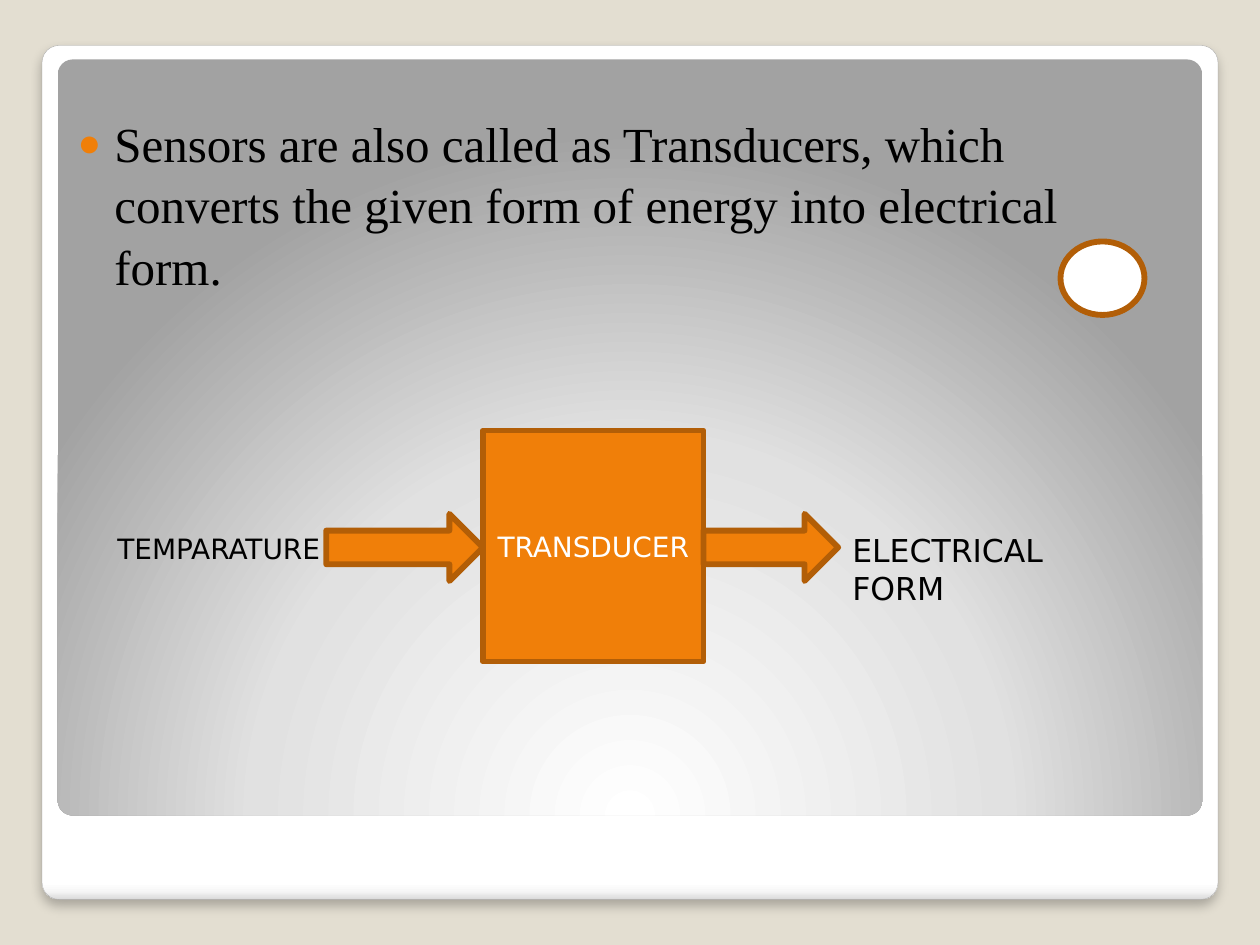
import dataclasses
import typing

import pptx
import pptx.dml.color
import pptx.enum.shapes
import pptx.enum.text
import pptx.oxml
import pptx.oxml.ns
import pptx.util

Pt = pptx.util.Pt
SHAPE = pptx.enum.shapes.MSO_SHAPE
ALIGN = pptx.enum.text.PP_ALIGN
ANCHOR = pptx.enum.text.MSO_ANCHOR
NAMESPACE = pptx.oxml.ns.nsdecls("a")


@dataclasses.dataclass(frozen=True)
class Theme:
    backdrop: str = "E3DED1"
    black: str = "000000"
    white: str = "FFFFFF"
    orange: str = "F07F09"
    outline: str = "B25E07"
    card_edge: str = "A4A4A4"
    body_font: str = "Times New Roman"
    label_font: str = "DejaVu Sans"
    body_size: float = 28
    label_size: float = 16
    output_size: float = 18
    outline_width: float = 3.35


class Frame(typing.NamedTuple):
    left: float
    top: float
    width: float
    height: float


class Block(typing.NamedTuple):
    kind: SHAPE
    frame: Frame
    fill: str
    text: str = ""


class Label(typing.NamedTuple):
    text: str
    frame: Frame
    size: float


THEME = Theme()


def color(value: str) -> pptx.dml.color.RGBColor:
    return pptx.dml.color.RGBColor.from_string(value)


def write(box, text: str, *, size: float, ink: str = THEME.black,
          font: str = THEME.label_font, align=ALIGN.LEFT) -> None:
    para = box.text_frame.paragraphs[0]
    para.alignment = align
    span = para.add_run()
    span.text = text
    span.font.name, span.font.size = font, Pt(size)
    span.font.color.rgb = color(ink)


def add_shape(page, kind: SHAPE, frame: Frame, fill: str = "",
              line: str = "", width: float = THEME.outline_width):
    shape = page.shapes.add_shape(kind, *map(Pt, frame))
    shape.shadow.inherit = False
    if fill:
        shape.fill.solid()
        shape.fill.fore_color.rgb = color(fill)
    else:
        shape.fill.background()
    if line:
        shape.line.color.rgb = color(line)
        shape.line.width = Pt(width)
    else:
        shape.line.fill.background()
    return shape


def add_panel(page, frame: Frame, stops: dict, direction: str, line: str = ""):
    """Rounded panel with a gradient given as percent -> colour."""
    panel = add_shape(page, SHAPE.ROUNDED_RECTANGLE, frame, line=line, width=0.16)
    panel.adjustments[0] = 0.02
    marks = "".join(f'<a:gs pos="{percent * 1000}"><a:srgbClr val="{value}"/></a:gs>'
                    for percent, value in stops.items())
    gradient = pptx.oxml.parse_xml(
        f'<a:gradFill {NAMESPACE} rotWithShape="1"><a:gsLst>{marks}</a:gsLst>'
        f'{direction}</a:gradFill>')
    properties = panel._element.spPr
    properties.replace(properties.find(pptx.oxml.ns.qn("a:noFill")), gradient)
    return panel


def add_shadow(shape) -> None:
    effects = shape._element.spPr.find(pptx.oxml.ns.qn("a:effectLst"))
    effects.append(pptx.oxml.parse_xml(
        f'<a:outerShdw {NAMESPACE} blurRad="{Pt(6)}" dist="{Pt(4)}" dir="5400000" '
        'algn="t" rotWithShape="0"><a:srgbClr val="000000">'
        '<a:alpha val="25000"/></a:srgbClr></a:outerShdw>'))


def add_block(page, block: Block) -> None:
    shape = add_shape(page, block.kind, block.frame, block.fill, THEME.outline)
    if block.text:
        shape.text_frame.vertical_anchor = ANCHOR.MIDDLE
        write(shape, block.text, size=THEME.label_size, ink=THEME.white,
              align=ALIGN.CENTER)


def add_label(page, label: Label) -> None:
    box = page.shapes.add_textbox(*map(Pt, label.frame))
    box.text_frame.word_wrap = True
    write(box, label.text, size=label.size)


def format_body(page, frame: Frame, text: str) -> None:
    body = page.placeholders[1]
    body.left, body.top, body.width, body.height = map(Pt, frame)
    page.shapes._spTree.append(body._element)  # in front of the panels
    text_frame = body.text_frame
    text_frame.auto_size = pptx.enum.text.MSO_AUTO_SIZE.NONE
    text_frame.vertical_anchor = ANCHOR.TOP
    text_frame.margin_left, text_frame.margin_top = Pt(14.4), Pt(9.7)
    text_frame.margin_right, text_frame.margin_bottom = Pt(7.2), Pt(3.6)
    para = text_frame.paragraphs[0]
    properties = para._p.get_or_add_pPr()
    properties.set("marL", str(Pt(21)))
    properties.set("indent", str(Pt(-21)))
    for bullet in (f'<a:buClr {NAMESPACE}><a:srgbClr val="{THEME.orange}"/></a:buClr>',
                   f'<a:buSzPct {NAMESPACE} val="80000"/>',
                   f'<a:buChar {NAMESPACE} char="●"/>'):
        properties.append(pptx.oxml.parse_xml(bullet))
    para.space_before = Pt(0)
    para.line_spacing = 1.04
    write(body, text, size=THEME.body_size, font=THEME.body_font)


def main() -> None:
    deck = pptx.Presentation()
    deck.slide_width, deck.slide_height = Pt(720), Pt(540)
    page = deck.slides.add_slide(deck.slide_layouts[1])
    title = page.shapes.title._element
    title.getparent().remove(title)
    page.background.fill.solid()
    page.background.fill.fore_color.rgb = color(THEME.backdrop)

    # White card and the grey panel on it
    card = add_panel(page, Frame(24, 26, 672, 488),
                     {0: "FFFFFF", 98: "FFFFFF", 99: "F7F7F7", 100: "DADADA"},
                     '<a:lin ang="5400000" scaled="0"/>', THEME.card_edge)
    add_shadow(card)
    add_panel(page, Frame(33, 34, 654, 432),
              {0: "FFFFFF", 55: "E1E1E1", 100: "A2A2A2"},
              '<a:path path="circle"><a:fillToRect l="50000" t="175000" '
              'r="50000" b="-75000"/></a:path>')

    # Definition
    format_body(page, Frame(30, 54, 644, 372),
                "Sensors are also called as Transducers, which converts the "
                "given form of energy into electrical form.")

    # Flow from input to output, with the arrows centred on the square
    square = Frame(276, 246, 126, 132)
    arrow_height = 38.4
    arrow_top = square.top + (square.height - arrow_height) / 2 + 0.8
    in_width, out_width = 89.6, 77
    for block in (
        Block(SHAPE.RIGHT_ARROW,
              Frame(square.left - in_width, arrow_top, in_width, arrow_height),
              THEME.orange),
        Block(SHAPE.RECTANGLE, square, THEME.orange, "TRANSDUCER"),
        Block(SHAPE.RIGHT_ARROW,
              Frame(square.left + square.width, arrow_top, out_width, arrow_height),
              THEME.orange),
        Block(SHAPE.OVAL, Frame(606, 138, 48, 42), THEME.white),
    ):
        add_block(page, block)
    for label in (
        Label("TEMPARATURE", Frame(60, 300, 162, 26.6), THEME.label_size),
        Label("ELECTRICAL FORM", Frame(480, 300, 150, 29), THEME.output_size),
    ):
        add_label(page, label)

    deck.save("out.pptx")


if __name__ == "__main__":
    main()
